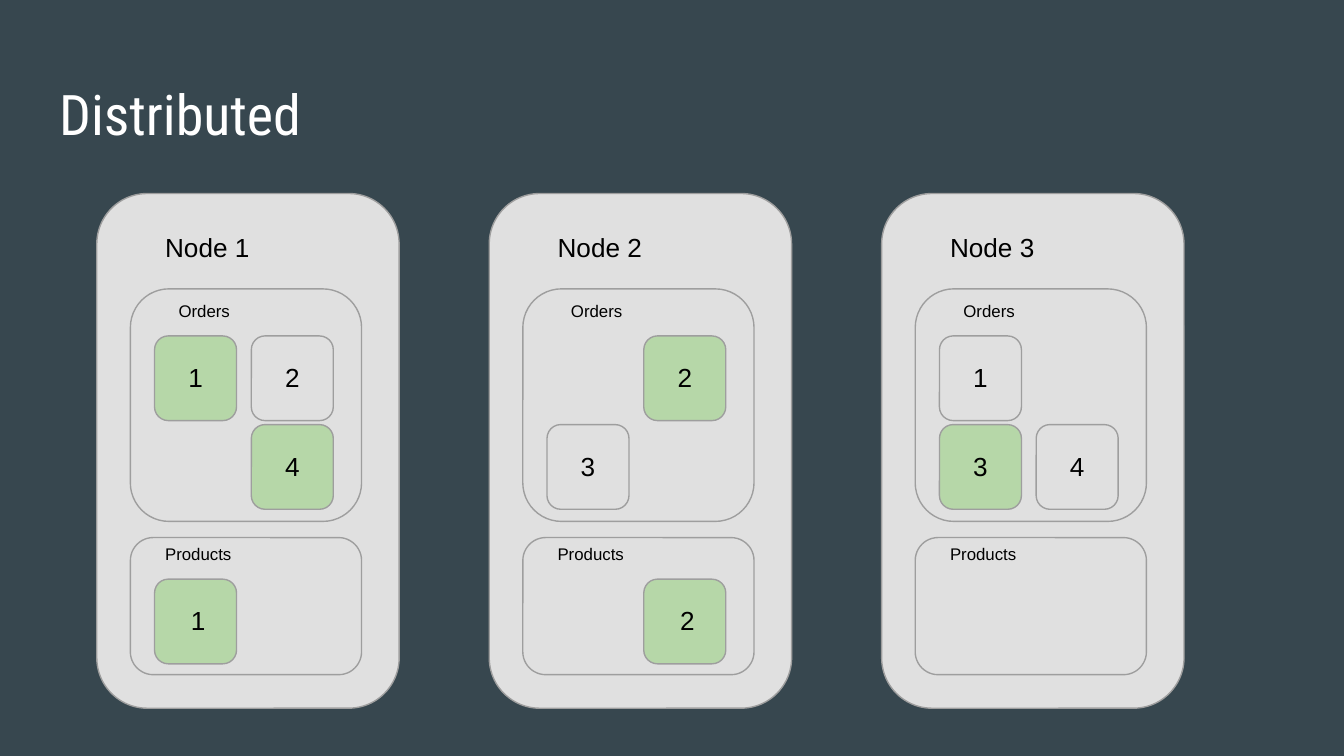
from pptx import Presentation
from pptx.dml.color import RGBColor
from pptx.enum.shapes import MSO_SHAPE
from pptx.enum.text import MSO_ANCHOR, PP_ALIGN
from pptx.util import Inches, Pt

ROUNDED = MSO_SHAPE.ROUNDED_RECTANGLE
TOP = MSO_ANCHOR.TOP
LEFT, CENTER = PP_ALIGN.LEFT, PP_ALIGN.CENTER

THEME = {
    "background": RGBColor.from_string("37474F"),
    "panel": RGBColor.from_string("E0E0E0"),
    "primary": RGBColor.from_string("B6D7A8"),
    "outline": RGBColor.from_string("9E9E9E"),
    "title": {"name": "Roboto Condensed", "size": Pt(30), "color": RGBColor.from_string("FFFFFF")},
    "body": {"name": "Arial", "size": Pt(14), "color": RGBColor.from_string("000000")},
    "label": {"name": "Arial", "size": Pt(9), "color": RGBColor.from_string("000000")},
}
FRAME = {
    "word_wrap": True,
    "vertical_anchor": TOP,
    "margin_left": Inches(0.1),
    "margin_right": Inches(0.1),
    "margin_top": Inches(0.1),
    "margin_bottom": Inches(0.1),
}

# Each shard: number, column, row, is primary
NODES = [
    {"Orders": [(1, 0, 0, True), (2, 1, 0, False), (4, 1, 1, True)],
     "Products": [(1, 0, 0, True)]},
    {"Orders": [(2, 1, 0, True), (3, 0, 1, False)],
     "Products": [(2, 1, 0, True)]},
    {"Orders": [(1, 0, 0, False), (3, 0, 1, True), (4, 1, 1, False)],
     "Products": []},
]
# Tops and heights are on the slide; shifts are from the node's left edge
INDEXES = {
    "Orders": {"top": 2.15, "height": 1.73, "label_shift": 0.51, "label_top": 2.16,
               "shard_top": 2.5, "number_shift": 0.05},
    "Products": {"top": 4, "height": 1.02, "label_shift": 0.41, "label_top": 3.97,
                 "shard_top": 4.31, "number_shift": 0.07},
}
NODE_LEFT, NODE_PITCH = 0.72, 2.92
SHARD_SHIFT, COLUMN_PITCH, ROW_PITCH = 0.43, 0.72, 0.66


def add_panel(left, top, width, height, color):
    """Draw an outlined rounded rectangle; a color of None leaves it unfilled."""
    panel = slide.shapes.add_shape(ROUNDED, Inches(left), Inches(top), Inches(width), Inches(height))
    panel.shadow.inherit = False
    panel.adjustments[0] = 0.167
    if color is None:
        panel.fill.background()
    else:
        panel.fill.solid()
        panel.fill.fore_color.rgb = color
    panel.line.color.rgb = THEME["outline"]
    panel.line.width = Pt(0.75)


def write_text(box, text, style, align=LEFT):
    for name, value in FRAME.items():
        setattr(box.text_frame, name, value)
    para = box.text_frame.paragraphs[0]
    para.alignment = align
    span = para.add_run()
    span.text = text
    for name in ("name", "size"):
        setattr(span.font, name, THEME[style][name])
    span.font.color.rgb = THEME[style]["color"]


deck = Presentation()
deck.slide_width = Inches(10)
deck.slide_height = deck.slide_width * 9 // 16
slide = deck.slides.add_slide(deck.slide_layouts[5])
slide.background.fill.solid()
slide.background.fill.fore_color.rgb = THEME["background"]

title = slide.shapes.title
title.left, title.top = Inches(0.34), Inches(0.49)
title.width, title.height = Inches(9.32), Inches(0.63)
write_text(title, "Distributed", "title")

for position, node in enumerate(NODES):
    left = NODE_LEFT + position * NODE_PITCH
    add_panel(left, 1.44, 2.25, 3.83, THEME["panel"])
    heading = slide.shapes.add_textbox(Inches(left + 0.41), Inches(1.62), Inches(1.28), Inches(0.36))
    write_text(heading, f"Node {position + 1}", "body")

    for name, shards in node.items():
        index = INDEXES[name]
        add_panel(left + 0.25, index["top"], 1.72, index["height"], THEME["panel"])
        label = slide.shapes.add_textbox(
            Inches(left + index["label_shift"]), Inches(index["label_top"]), Inches(1.09), Inches(0.17))
        write_text(label, name, "label")

        for number, column, row, is_primary in shards:
            shard_left = left + SHARD_SHIFT + column * COLUMN_PITCH
            shard_top = index["shard_top"] + row * ROW_PITCH
            add_panel(shard_left, shard_top, 0.61, 0.63, THEME["primary"] if is_primary else None)
            digit = slide.shapes.add_textbox(
                Inches(shard_left + index["number_shift"]), Inches(shard_top + 0.09),
                Inches(0.51), Inches(0.44))
            write_text(digit, str(number), "body", CENTER)

deck.save("out.pptx")
